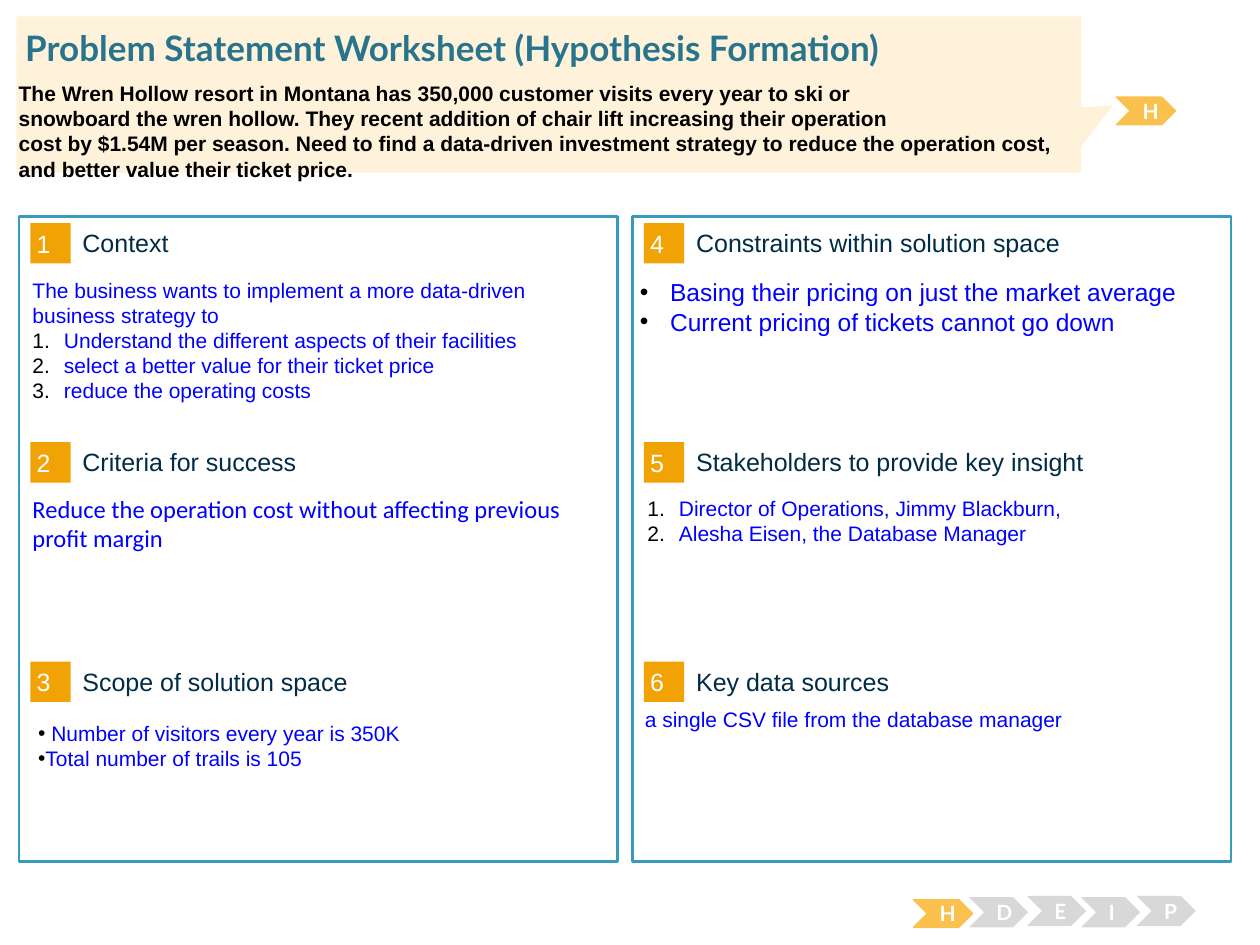
"""Build the problem statement worksheet slide on a grid of 100 columns by 75 rows."""
from dataclasses import dataclass
from typing import NamedTuple, Optional

from lxml import etree
from pptx import Presentation
from pptx import util as u
from pptx.dml.color import RGBColor
from pptx.enum import shapes, text
from pptx.oxml import ns

COLUMNS, ROWS = 100, 75
CELL = u.Inches(0.1)


@dataclass(frozen=True)
class Theme:
    panel_line: str = "379BBD"
    badge: str = "F1A205"
    heading: str = "002C46"
    answer: str = "0000FF"
    title: str = "29748D"
    callout: str = "FEF2DA"
    active: str = "FBC14E"
    inactive: str = "D8D8D8"
    white: str = "FFFFFF"
    black: str = "000000"
    body_font: str = "Arial"
    title_font: str = "Lato"
    alternate_font: str = "Calibri"
    title_size: float = 20
    heading_size: float = 14.3
    large_size: float = 14
    body_size: float = 12


THEME = Theme()


class Box(NamedTuple):
    column: float
    row: float
    columns: float
    rows: float


class Bullet(NamedTuple):
    tag: str
    attribute: str
    value: str
    indent: float = 0


NUMBERED = Bullet("a:buAutoNum", "type", "arabicPeriod", 2.5)
DOTTED = Bullet("a:buChar", "char", "•", 2.4)
TIGHT_DOTTED = Bullet("a:buChar", "char", "•")


@dataclass(frozen=True)
class Section:
    heading: str
    shift: tuple[float, float]
    lines: list[str]
    bullet: Optional[Bullet] = None
    plain_lines: int = 0
    size: float = THEME.body_size
    font: str = THEME.body_font


class Step(NamedTuple):
    letter: str
    box: Box
    active: bool = False


SECTIONS = [
    Section("Context", (0.1, 3.8), [
        "The business wants to implement a more data-driven business strategy to",
        "Understand the different aspects of their facilities",
        "select a better value for their ticket price",
        "reduce the operating costs"], NUMBERED, plain_lines=1),
    Section("Criteria for success", (0.1, 3.6), [
        "Reduce the operation cost without affecting previous profit margin"],
        size=THEME.large_size, font=THEME.alternate_font),
    Section("Scope of solution space", (0.55, 4.2), [
        " Number of visitors every year is 350K",
        "Total number of trails is 105"], TIGHT_DOTTED),
    Section("Constraints within solution space", (-0.4, 3.8), [
        "Basing their pricing on just the market average",
        "Current pricing of tickets cannot go down"], DOTTED, size=THEME.large_size),
    Section("Stakeholders to provide key insight", (0.2, 3.7), [
        "Director of Operations, Jimmy Blackburn,",
        "Alesha Eisen, the Database Manager"], NUMBERED),
    Section("Key data sources", (0, 3.1), ["a single CSV file from the database manager"]),
]

STEPS = [
    Step("H", Box(72.5, 71.4, 4.7, 2.2), True),
    Step("D", Box(76.9, 71.2, 4.7, 2.4)),
    Step("E", Box(81.5, 71.1, 4.7, 2.4)),
    Step("I", Box(85.8, 71.2, 4.7, 2.4)),
    Step("P", Box(90.2, 71.1, 4.7, 2.4)),
    Step("H", Box(88.6, 7.7, 4.7, 2.2), True),
]

STATEMENT = [
    "The Wren Hollow resort in Montana has 350,000 customer visits every year to ski or",
    "snowboard the wren hollow. They recent addition of chair lift increasing their operation",
    "cost by $1.54M per season. Need to find a data-driven investment strategy to reduce "
    "the operation cost, and better value their ticket price.",
]


def place(box: Box) -> list[int]:
    """Turn grid units into slide lengths."""
    return [round(CELL * value) for value in box]


def add_bullet(paragraph, bullet: Bullet) -> None:
    """Give a paragraph a black bullet and a hanging indent."""
    properties = paragraph._p.get_or_add_pPr()
    properties.set("marL", str(round(CELL * bullet.indent)))
    properties.set("indent", str(-round(CELL * bullet.indent)))
    colour = etree.SubElement(properties, ns.qn("a:buClr"))
    etree.SubElement(colour, ns.qn("a:srgbClr")).set("val", THEME.black)
    etree.SubElement(properties, ns.qn("a:buFont")).set("typeface", THEME.body_font)
    etree.SubElement(properties, ns.qn(bullet.tag)).set(bullet.attribute, bullet.value)


def write(shape, lines: list[str], *, size: float = THEME.body_size, font: str = THEME.body_font,
          colour: str = THEME.black, bold: bool = False, centred: bool = False,
          middle: bool = False, margins: tuple[float, float] = (1, 0.5),
          bullet: Optional[Bullet] = None, plain_lines: int = 0) -> None:
    """Fill a shape with formatted paragraphs."""
    frame = shape.text_frame
    frame.word_wrap = True
    frame.vertical_anchor = text.MSO_ANCHOR.MIDDLE if middle else text.MSO_ANCHOR.TOP
    frame.margin_left = frame.margin_right = round(CELL * margins[0])
    frame.margin_top = frame.margin_bottom = round(CELL * margins[1])
    for index, line in enumerate(lines):
        paragraph = frame.add_paragraph() if index else frame.paragraphs[0]
        paragraph.alignment = text.PP_ALIGN.CENTER if centred else text.PP_ALIGN.LEFT
        if bullet and index >= plain_lines:
            add_bullet(paragraph, bullet)
        run = paragraph.add_run()
        run.text = line
        run.font.size, run.font.name, run.font.bold = u.Pt(size), font, bold
        run.font.color.rgb = RGBColor.from_string(colour)


def add_shape(slide, kind: shapes.MSO_SHAPE, box: Box, fill: str,
              line: Optional[str] = None, line_width: float = 0.75):
    """Draw a flat preset shape."""
    shape = slide.shapes.add_shape(kind, *place(box))
    shape.shadow.inherit = False
    shape.fill.solid()
    shape.fill.fore_color.rgb = RGBColor.from_string(fill)
    if line:
        shape.line.color.rgb = RGBColor.from_string(line)
        shape.line.width = u.Pt(line_width)
    else:
        shape.line.fill.background()
    return shape


def add_text(slide, box: Box, lines: list[str], **formatting) -> None:
    """Draw a text box."""
    write(slide.shapes.add_textbox(*place(box)), lines, **formatting)


def add_section(slide, number: int, section: Section) -> None:
    """Draw a numbered section in its cell of the two by three grid."""
    column, row = divmod(number - 1, 3)
    left, top = 1.5 + 48.7 * column, 17.7 + 17.4 * row
    badge = add_shape(slide, shapes.MSO_SHAPE.RECTANGLE, Box(left + 0.9, top, 3.2, 3.2), THEME.badge)
    write(badge, [str(number)], size=THEME.heading_size, colour=THEME.white, middle=True,
          margins=(0.5, 0.5))
    add_text(slide, Box(left + 5.05, top + 0.3, 39.3, 2.5), [section.heading],
             size=THEME.heading_size, colour=THEME.heading, middle=True, margins=(0, 0))
    add_text(slide, Box(left + section.shift[0], top + section.shift[1], 47.3, 11.8),
             section.lines, size=section.size, font=section.font, colour=THEME.answer,
             bullet=section.bullet, plain_lines=section.plain_lines)


def add_step(slide, step: Step) -> None:
    """Draw one chevron of the process tracker."""
    fill = THEME.active if step.active else THEME.inactive
    chevron = add_shape(slide, shapes.MSO_SHAPE.CHEVRON, step.box, fill, fill if step.active else None)
    write(chevron, [step.letter], font=THEME.title_font, colour=THEME.white, bold=True,
          centred=True, middle=True)


def main() -> None:
    """Build and save the slide."""
    presentation = Presentation()
    presentation.slide_width, presentation.slide_height = CELL * COLUMNS, CELL * ROWS
    slide = presentation.slides.add_slide(presentation.slide_layouts[6])
    for left in (1.5, 50.2):
        add_shape(slide, shapes.MSO_SHAPE.RECTANGLE, Box(left, 17.2, 47.5, 51.2),
                  THEME.white, THEME.panel_line, 1.5)
    for number, section in enumerate(SECTIONS, 1):
        add_section(slide, number, section)
    for step in STEPS:
        add_step(slide, step)
    callout = add_shape(slide, shapes.MSO_SHAPE.RECTANGULAR_CALLOUT, Box(1.3, 1.3, 84.5, 12.4),
                        THEME.callout)
    callout.adjustments[0], callout.adjustments[1] = 0.53, 0.07
    add_text(slide, Box(2, 2.1, 96.2, 3.4), ["Problem Statement Worksheet (Hypothesis Formation)"],
             size=THEME.title_size, font=THEME.title_font, colour=THEME.title, bold=True,
             margins=(0, 0))
    add_text(slide, Box(0.5, 5.9, 84.9, 8.8), STATEMENT, bold=True)
    presentation.save("out.pptx")


if __name__ == "__main__":
    main()
